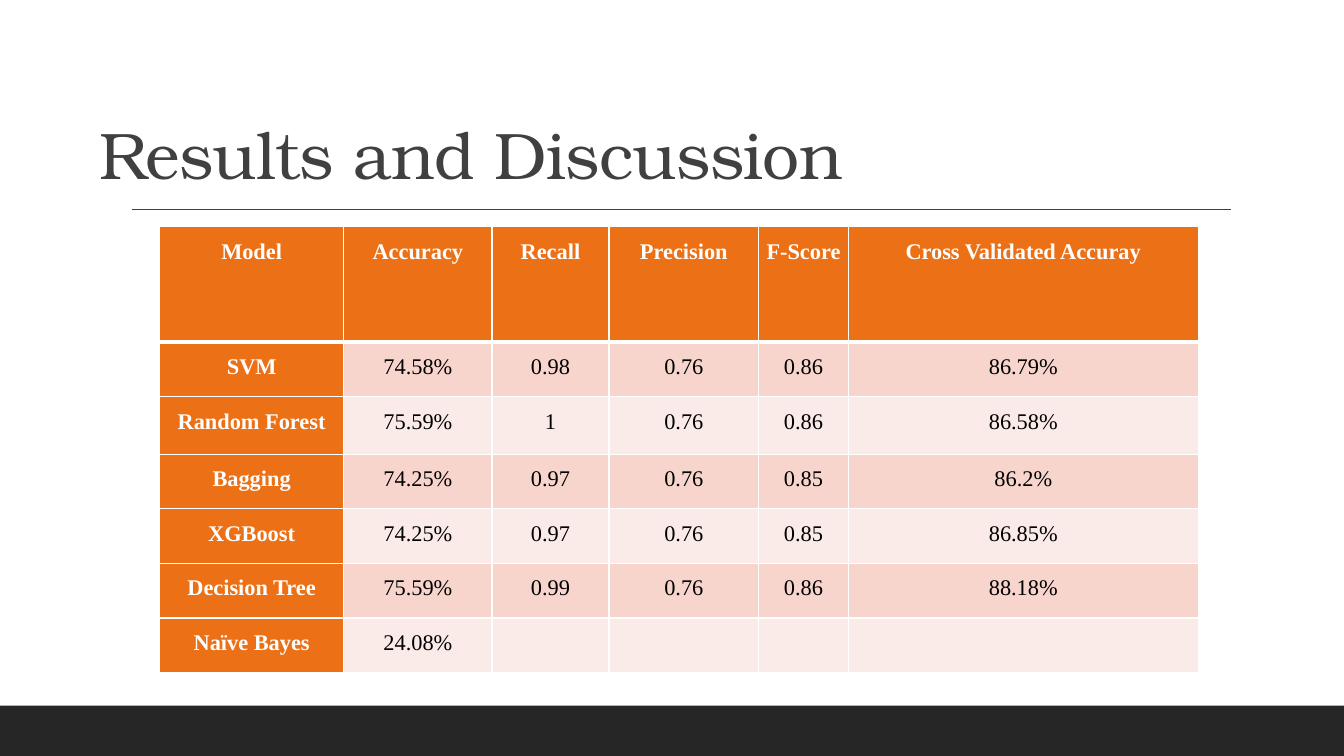
import lxml.etree
import pptx
import pptx.dml.color
import pptx.enum.shapes
import pptx.enum.text
import pptx.oxml.ns
import pptx.util

Pt = pptx.util.Pt
qn = pptx.oxml.ns.qn

TITLE = "Results and Discussion"
RESULTS = [
    ("Model", "Accuracy", "Recall", "Precision", "F-Score", "Cross Validated Accuray"),
    ("SVM", "74.58%", "0.98", "0.76", "0.86", "86.79%"),
    ("Random Forest", "75.59%", "1", "0.76", "0.86", "86.58%"),
    ("Bagging", "74.25%", "0.97", "0.76", "0.85", "86.2%"),
    ("XGBoost", "74.25%", "0.97", "0.76", "0.85", "86.85%"),
    ("Decision Tree", "75.59%", "0.99", "0.76", "0.86", "88.18%"),
    ("Naïve Bayes", "24.08%", "", "", "", ""),
]
COLORS = {
    "footer": "262626",
    "dark": "404040",
    "head": "EC7016",
    "odd": "F8D5CC",
    "even": "FBEBE8",
    "white": "FFFFFF",
    "black": "000000",
}
TITLE_FONT = "TeX Gyre Bonum"
TABLE_FONT = "Times New Roman"

SLIDE_W, SLIDE_H = 960, 540
FOOTER_H = 36
RULE_LEFT, RULE_RIGHT, RULE_Y = 94.5, 879, 149.5
TABLE_LEFT, TABLE_TOP = 114, 162
COL_WIDTHS = [131.5, 106, 83.5, 107, 64, 250]
ROW_HEIGHTS = [82.5, 39, 41, 39, 39, 39, 39]


def rgb(name):
    return pptx.dml.color.RGBColor.from_string(COLORS[name])


def set_borders(cell, top, bottom):
    """Draw white borders, with top and bottom widths in points."""
    tc_pr = cell._tc.get_or_add_tcPr()
    for side, width in (("L", 1), ("R", 1), ("T", top), ("B", bottom)):
        ln = lxml.etree.SubElement(tc_pr, qn(f"a:ln{side}"), w=str(Pt(width)))
        fill = lxml.etree.SubElement(ln, qn("a:solidFill"))
        lxml.etree.SubElement(fill, qn("a:srgbClr"), val=COLORS["white"])


def add_footer(slide):
    sp = slide.shapes.add_shape(
        pptx.enum.shapes.MSO_SHAPE.RECTANGLE,
        Pt(0), Pt(SLIDE_H - FOOTER_H), Pt(SLIDE_W), Pt(FOOTER_H))
    sp.shadow.inherit = False
    sp.fill.solid()
    sp.fill.fore_color.rgb = rgb("footer")
    sp.line.fill.background()


def add_rule(slide):
    line = slide.shapes.add_connector(
        pptx.enum.shapes.MSO_CONNECTOR.STRAIGHT,
        Pt(RULE_LEFT), Pt(RULE_Y), Pt(RULE_RIGHT), Pt(RULE_Y))
    line.line.color.rgb = rgb("dark")
    line.line.width = Pt(1)
    lxml.etree.SubElement(line._element.spPr, qn("a:effectLst"))


def add_title(slide):
    tf = slide.shapes.add_textbox(Pt(64), Pt(27.5), Pt(792), Pt(114.5)).text_frame
    tf.word_wrap = True
    tf.vertical_anchor = pptx.enum.text.MSO_ANCHOR.BOTTOM
    p = tf.paragraphs[0]
    p.line_spacing = 0.9
    r = p.add_run()
    r.text = TITLE
    r.font.name = TITLE_FONT
    r.font.size = Pt(47)
    r.font.color.rgb = rgb("dark")
    r._r.get_or_add_rPr().set("spc", "-50")


def fill_cell(cell, text, row, col):
    is_head = row == 0 or col == 0
    set_borders(cell, top=3 if row == 1 else 1, bottom=3 if row == 0 else 1)
    cell.fill.solid()
    cell.fill.fore_color.rgb = rgb("head" if is_head else "odd" if row % 2 else "even")
    cell.margin_left = cell.margin_right = Pt(5)
    cell.margin_top = cell.margin_bottom = Pt(0)
    p = cell.text_frame.paragraphs[0]
    p.text = text
    p.alignment = pptx.enum.text.PP_ALIGN.CENTER
    p.line_spacing = 1.5
    p.font.name = TABLE_FONT
    p.font.size = Pt(16)
    p.font.bold = is_head
    p.font.color.rgb = rgb("white" if is_head else "black")


def add_results(slide):
    table = slide.shapes.add_table(
        len(ROW_HEIGHTS), len(COL_WIDTHS), Pt(TABLE_LEFT), Pt(TABLE_TOP),
        Pt(sum(COL_WIDTHS)), Pt(sum(ROW_HEIGHTS))).table
    table.first_col = True
    for column, width in zip(table.columns, COL_WIDTHS):
        column.width = Pt(width)
    for row, (height, values) in enumerate(zip(ROW_HEIGHTS, RESULTS)):
        table.rows[row].height = Pt(height)
        for col, text in enumerate(values):
            fill_cell(table.cell(row, col), text, row, col)


def main():
    prs = pptx.Presentation()
    prs.slide_width, prs.slide_height = Pt(SLIDE_W), Pt(SLIDE_H)
    slide = prs.slides.add_slide(prs.slide_layouts[6])
    add_footer(slide)
    add_rule(slide)
    add_title(slide)
    add_results(slide)
    prs.save("out.pptx")


if __name__ == "__main__":
    main()
